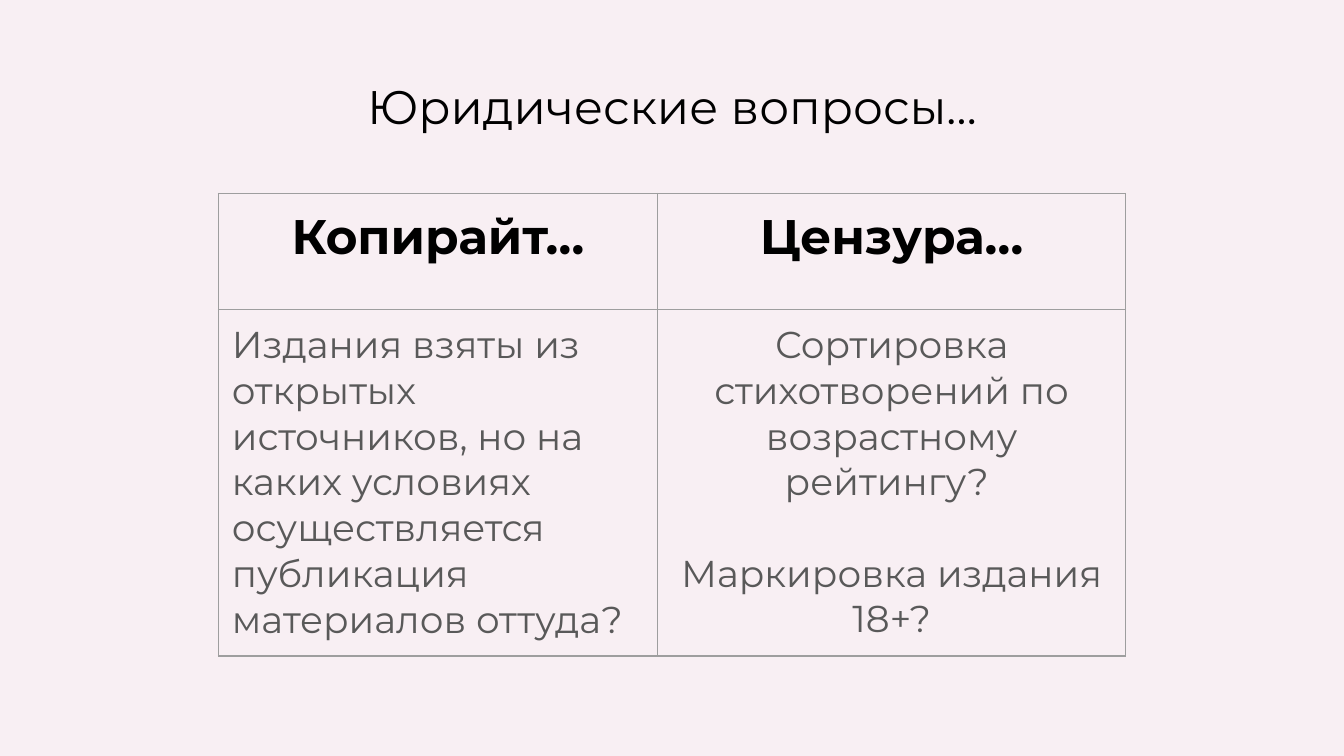
from lxml import etree
from pptx import Presentation
from pptx import util as u
from pptx.dml import color
from pptx.enum import text
from pptx.oxml import ns

HUES = {"back": "F8EFF3", "ink": "000000", "gray": "595959", "line": "9E9E9E"}
SIDES = ("left", "right", "top", "bottom")
ALIGN = text.PP_ALIGN
HEAD = {"size": u.Pt(26), "bold": True}
BODY = {"size": u.Pt(20), "bold": False}
CELLS = [
    [(["Копирайт…"], ALIGN.CENTER, HEAD, "ink"),
     (["Цензура…"], ALIGN.CENTER, HEAD, "ink")],
    [(["Издания взяты из открытых источников, но на каких условиях "
       "осуществляется публикация материалов оттуда?"], ALIGN.LEFT, BODY, "gray"),
     (["Сортировка стихотворений по возрастному рейтингу? ",
       "Маркировка издания 18+?"], ALIGN.CENTER, BODY, "gray")],
]


def tint(hue):
    """Return the named colour as an RGB value."""
    return color.RGBColor.from_string(HUES[hue])


def pad(part):
    """Give a cell or text frame equal margins."""
    for side in SIDES:
        setattr(part, f"margin_{side}", u.Inches(0.1))


def write(frame, lines, align, form, hue):
    """Fill a text frame with one formatted paragraph per line."""
    for i, line in enumerate(lines):
        para = frame.add_paragraph() if i else frame.paragraphs[0]
        para.alignment = align
        para.space_before = u.Pt(24.4 if i else 0)
        run = para.add_run()
        run.text = line
        for key, val in {"name": "Montserrat", **form}.items():
            setattr(run.font, key, val)
        run.font.color.rgb = tint(hue)


def edge_cell(cell):
    """Draw a thin line on all four sides of a cell."""
    props = cell._tc.get_or_add_tcPr()
    for i, side in enumerate(("lnL", "lnR", "lnT", "lnB")):
        edge = etree.Element(ns.qn(f"a:{side}"), w=str(int(u.Pt(0.75))))
        fill = etree.SubElement(edge, ns.qn("a:solidFill"))
        etree.SubElement(fill, ns.qn("a:srgbClr"), val=HUES["line"])
        props.insert(i, edge)


def add_title(slide, box, words):
    """Place and format the title placeholder."""
    title = slide.shapes.title
    for key, val in zip(("left", "top", "width", "height"), box):
        setattr(title, key, u.Inches(val))
    frame = title.text_frame
    pad(frame)
    form = {"word_wrap": True, "auto_size": text.MSO_AUTO_SIZE.NONE,
            "vertical_anchor": text.MSO_ANCHOR.TOP}
    for key, val in form.items():
        setattr(frame, key, val)
    write(frame, [words], ALIGN.CENTER, {"size": u.Pt(25.2), "bold": False}, "ink")


def add_grid(slide, box, cols, rows):
    """Add the table of questions inside the given box."""
    grid = slide.shapes.add_table(len(rows), len(cols), *map(u.Inches, box)).table
    grid.first_row = grid.horz_banding = False
    for col, wide in zip(grid.columns, cols):
        col.width = u.Inches(wide)
    for row, high, data in zip(grid.rows, rows, CELLS):
        row.height = u.Inches(high)
        for cell, item in zip(row.cells, data):
            pad(cell)
            cell.fill.background()
            edge_cell(cell)
            write(cell.text_frame, *item)


def main():
    """Build the slide and save it."""
    deck = Presentation()
    deck.slide_width = u.Inches(10)
    deck.slide_height = deck.slide_width * 9 // 16
    slide = deck.slides.add_slide(deck.slide_layouts[5])
    slide.background.fill.solid()
    slide.background.fill.fore_color.rgb = tint("back")
    add_title(slide, (0.34, 0.48, 9.32, 0.63), "Юридические вопросы…")
    cols, rows = (3.27, 3.48), (0.86, 2.52)
    wide = sum(cols)
    add_grid(slide, ((10 - wide) / 2, 1.44, wide, sum(rows)), cols, rows)
    deck.save("out.pptx")


if __name__ == "__main__":
    main()
